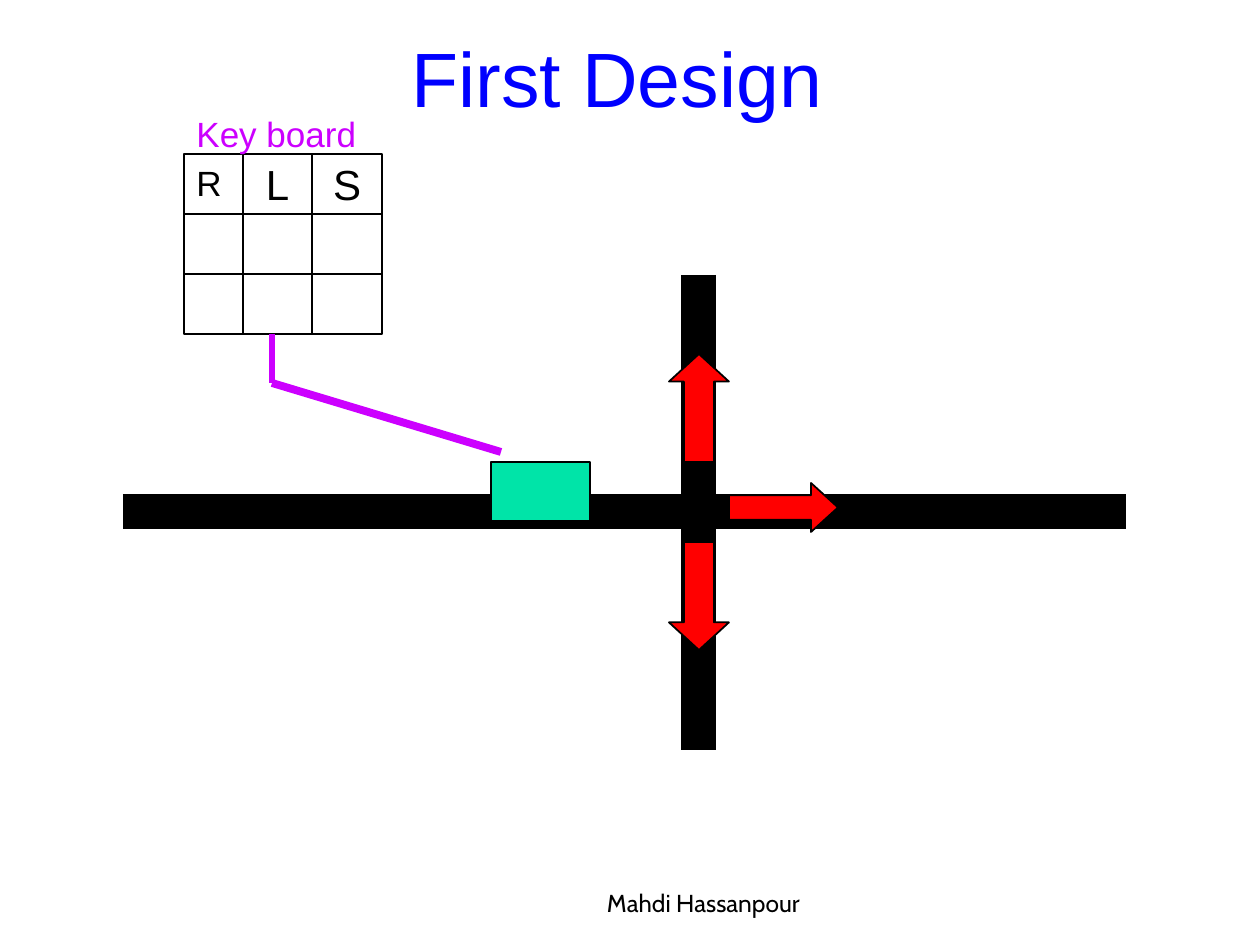
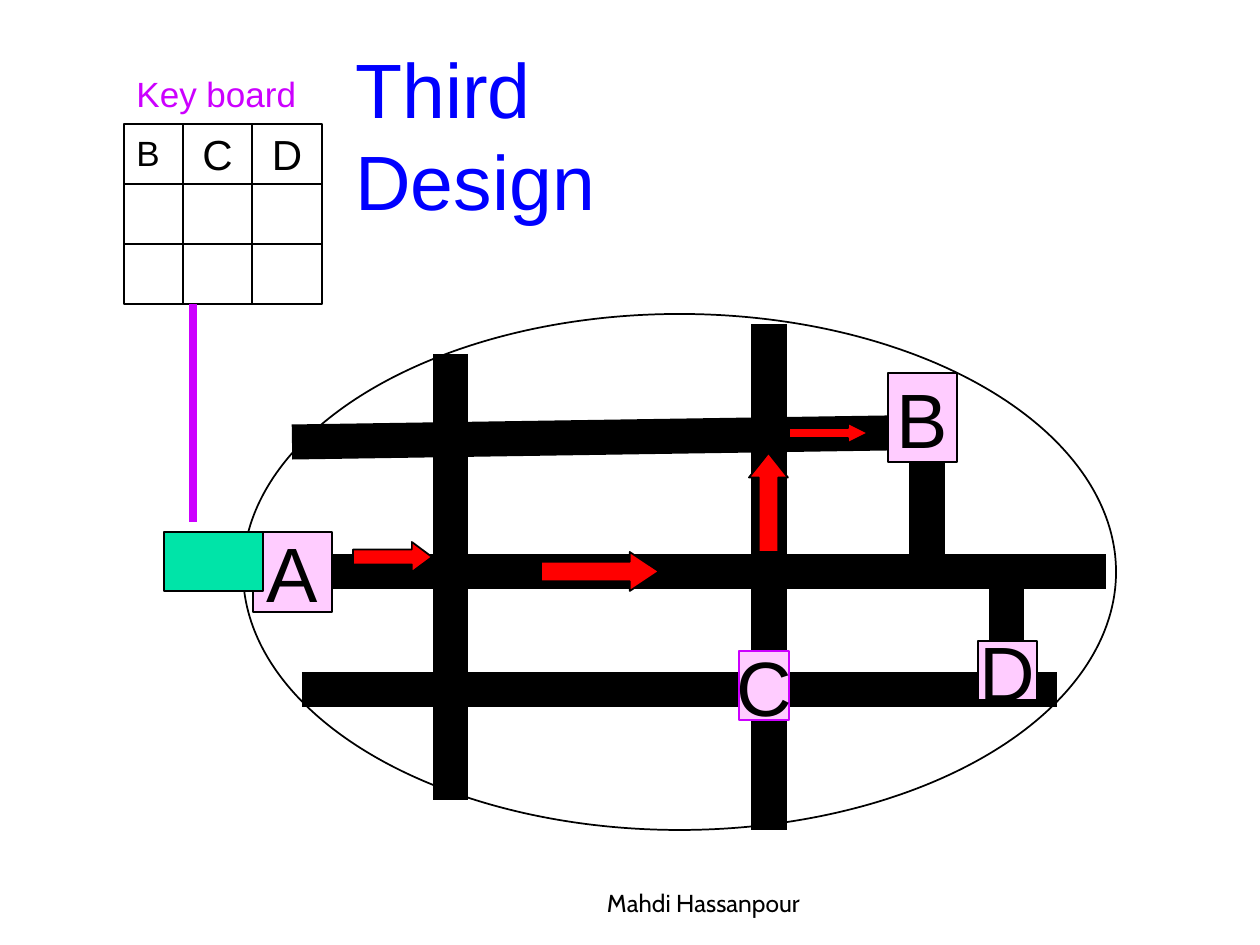
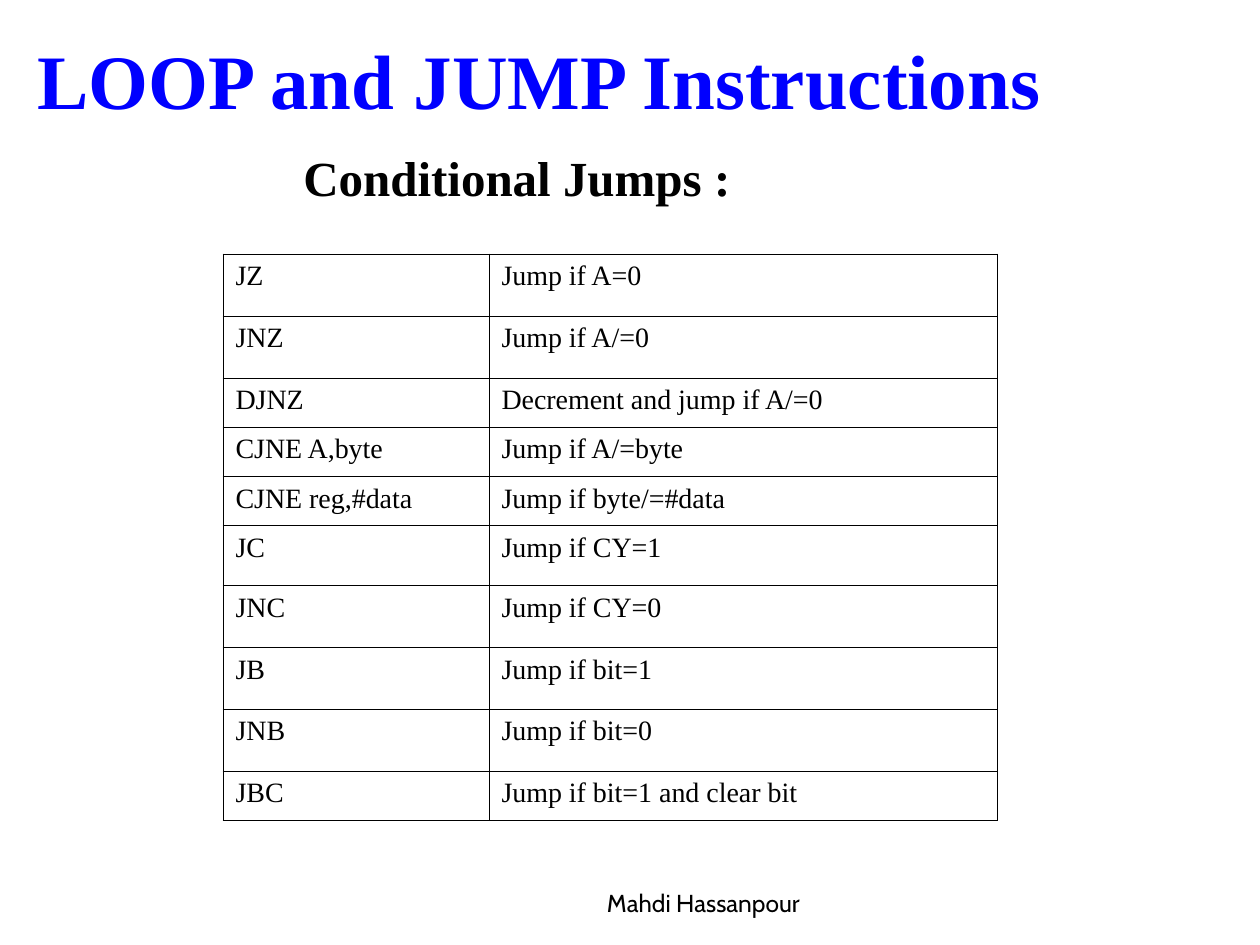
from lxml.etree import SubElement
from pptx import Presentation
from pptx.dml.color import RGBColor
from pptx.enum.shapes import MSO_CONNECTOR, MSO_SHAPE
from pptx.enum.text import MSO_ANCHOR, MSO_AUTO_SIZE, PP_ALIGN
from pptx.oxml.ns import qn
from pptx.util import Pt

PX = 914400 / 126
BLACK, WHITE, BLUE, RED = "000000", "FFFFFF", "0000FF", "FF0000"
PURPLE, PINK, GREEN = "CC00FF", "FFCCFF", "00E4A8"
SERIF = "Times New Roman"
rgb = RGBColor.from_string


def add_box(s, kind, at, fill=None, line=BLACK, text="", size=44, color=BLACK,
            font="Arial", bold=False, wrap=False):
    """Add a preset shape with centred text, or a text box if kind is None."""
    at = [round(v * PX) for v in at]
    if kind is None:
        sp = s.shapes.add_textbox(*at)
    else:
        sp = s.shapes.add_shape(kind, *at)
        sp.shadow.inherit = False
        sp.fill.solid()
        sp.fill.fore_color.rgb = rgb(fill)
        sp.line.color.rgb = rgb(line)
        sp.line.width = Pt(1)
    if text:
        tf = sp.text_frame
        tf.word_wrap = wrap
        tf.text = text
        p = tf.paragraphs[0]
        if kind is not None:
            tf.vertical_anchor = MSO_ANCHOR.MIDDLE
            p.alignment = PP_ALIGN.CENTER
        elif not wrap:
            tf.auto_size = MSO_AUTO_SIZE.SHAPE_TO_FIT_TEXT
        f = p.runs[0].font
        f.name, f.size, f.bold = font, Pt(size), bold
        f.color.rgb = rgb(color)
    return sp


def add_line(s, ends, color=BLACK, width=20):
    cx = s.shapes.add_connector(MSO_CONNECTOR.STRAIGHT, *[round(v * PX) for v in ends])
    cx.line.color.rgb = rgb(color)
    cx.line.width = Pt(width)
    SubElement(cx._element.spPr, qn("a:effectLst"))
    return cx


prs = Presentation()
prs.slide_width, prs.slide_height = round(1260 * PX), round(945 * PX)
first, third, jumps = [prs.slides.add_slide(prs.slide_layouts[6]) for _ in range(3)]

# City limits of the third design
add_box(third, MSO_SHAPE.OVAL, (243, 314, 873, 516), WHITE)

# Roads
roads = [(s, add_line(s, ends)) for s, ends in [
    (first, (123, 512, 1126, 512)),
    (first, (699, 275, 699, 750)),
    (third, (332, 572, 1106, 572)),
    (third, (451, 354, 451, 800)),
    (third, (292, 442, 888, 433)),
    (third, (769, 324, 769, 830)),
    (third, (927, 462, 927, 572)),
    (third, (302, 690, 1057, 690)),
    (third, (1007, 572, 1007, 690)),
]]

# Places on the map
places = {}
for name, at, line in [
    ("A", (253, 532, 79, 80), BLACK),
    ("B", (888, 373, 69, 89), BLACK),
    ("C", (739, 651, 50, 69), PURPLE),
    ("D", (978, 641, 59, 59), BLACK),
]:
    places[name] = add_box(third, MSO_SHAPE.RECTANGLE, at, PINK, line, name)
main_road = roads[2][1]
main_road.begin_connect(places["A"], 3)

# Direction arrows with the head length as a share of the short side
UP, DOWN, RIGHT = MSO_SHAPE.UP_ARROW, MSO_SHAPE.DOWN_ARROW, MSO_SHAPE.RIGHT_ARROW
for s, kind, at, head in [
    (first, UP, (669, 354, 60, 108), 0.46),
    (first, DOWN, (669, 542, 60, 108), 0.46),
    (first, RIGHT, (729, 483, 109, 49), 0.55),
    (third, RIGHT, (353, 542, 79, 30), 0.67),
    (third, RIGHT, (541, 552, 118, 39), 0.75),
    (third, UP, (749, 453, 39, 99), 0.63),
    (third, RIGHT, (789, 423, 79, 20), 1),
]:
    add_box(s, kind, at, RED).adjustments[1] = head

# Car, keyboard, cable and title of each design
ROW = 60
COLUMNS = [(0, 59), (59, 69), (128, 70)]
for s, letters, x, y, label_y, car, cable, title, title_at in [
    (first, "RLS", 184, 154, 106, (491, 462, 99, 59),
     [((272, 334, 272, 383), 3), ((272, 383, 501, 452), 4.5)],
     "First Design", (399, 24, 436, 106)),
    (third, "BCD", 124, 124, 66, (164, 532, 99, 59),
     [((193, 304, 193, 522), 4.5)],
     "Third Design", (343, 35, 461, 106)),
]:
    add_box(s, MSO_SHAPE.RECTANGLE, car, GREEN)
    for row in range(3):
        for col, (dx, w) in enumerate(COLUMNS):
            letter = letters[col] if row == 0 and col > 0 else ""
            add_box(s, MSO_SHAPE.RECTANGLE, (x + dx, y + row * ROW, w, ROW), WHITE,
                    text=letter, size=24)
    add_box(s, None, (x, y + 1, 50, 55), text=letters[0], size=20)
    add_box(s, None, (x, label_y, 185, 55), text="Key board", size=20, color=PURPLE)
    for ends, width in cable:
        add_line(s, ends, PURPLE, width)
    add_box(s, None, title_at, text=title, color=BLUE)

# Headings of the jump instructions
sp = add_box(jumps, None, (25, 26, 1170, 105), text="LOOP and JUMP Instructions",
             color=BLUE, font=SERIF, bold=True, wrap=True)
sp.text_frame.vertical_anchor = MSO_ANCHOR.MIDDLE
add_box(jumps, None, (291, 141, 452, 72), text="Conditional Jumps :", size=28,
        font=SERIF, bold=True)

# Table of conditional jumps
rows = [
    ("JZ", "Jump if A=0", 62),
    ("JNZ", "Jump if A/=0", 62),
    ("DJNZ", "Decrement and jump if A/=0", 49),
    ("CJNE A,byte", "Jump if A/=byte", 50),
    ("CJNE reg,#data", "Jump if byte/=#data", 49),
    ("JC", "Jump if CY=1", 60),
    ("JNC", "Jump if CY=0", 62),
    ("JB", "Jump if bit=1", 62),
    ("JNB", "Jump if bit=0", 62),
    ("JBC", "Jump if bit=1 and clear bit", 49),
]
widths = (266, 508)
height = sum(row[2] for row in rows)
table = jumps.shapes.add_table(len(rows), 2, *[
    round(v * PX) for v in (223, 254, sum(widths), height)]).table
table.first_row = table.horz_banding = False
for column, w in zip(table.columns, widths):
    column.width = round(w * PX)
for i, (code, meaning, h) in enumerate(rows):
    table.rows[i].height = round(h * PX)
    for cell, text in zip(table.rows[i].cells, (code, meaning)):
        cell.text = text
        f = cell.text_frame.paragraphs[0].runs[0].font
        f.name, f.size, f.bold = SERIF, Pt(16), False
        f.color.rgb = rgb(BLACK)
        tcPr = cell._tc.get_or_add_tcPr()
        for side in ("a:lnL", "a:lnR", "a:lnT", "a:lnB"):
            ln = SubElement(tcPr, qn(side), w=str(Pt(0.45)))
            SubElement(SubElement(ln, qn("a:solidFill")), qn("a:srgbClr"), val=BLACK)
        cell.fill.background()

# Footer on every slide
for s in prs.slides:
    sp = add_box(s, None, (504, 861, 399, 63), text="Mahdi Hassanpour", size=14,
                 font="Cabin", wrap=True)
    sp.text_frame.vertical_anchor = MSO_ANCHOR.BOTTOM
    sp.text_frame.paragraphs[0].alignment = PP_ALIGN.CENTER

prs.save("out.pptx")
